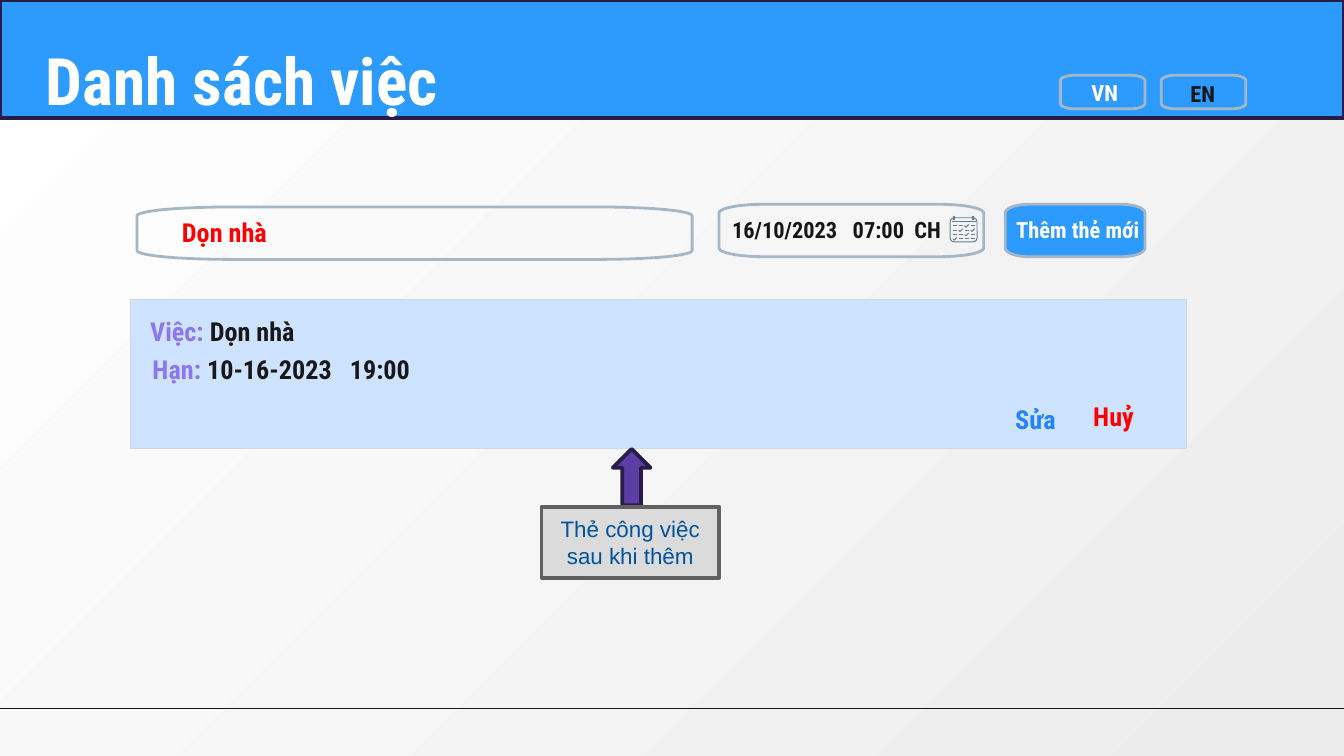
import math

import pptx
import pptx.dml.color
import pptx.enum.shapes
import pptx.enum.text
import pptx.util
from lxml import etree

Inches, Pt = pptx.util.Inches, pptx.util.Pt
SHAPE = pptx.enum.shapes.MSO_SHAPE
ANCHOR = pptx.enum.text.MSO_ANCHOR

THEME = {
    "font": "Roboto Condensed", "note_font": "Arial",
    "title": 35, "body": 14, "small": 12,
    "blue": "2D9BFE", "navy": "281B48", "purple": "5C3DA4", "white": "FFFFFF",
    "shade": "ECECEC", "ink": "161616", "value": "181818", "red": "FF0000",
    "edit": "2382FF", "label": "8C77EF", "outline": "A5B7C6", "icon": "657E93",
    "card": "CEE3FF", "card_edge": "CFD9E0",
    "note": "DBDBDB", "note_edge": "606060", "note_text": "01539D",
}

# Boxes are left, top, width, height in inches.
TITLE = ("Danh sách việc", (0.2, 0.2, 3.2, 0.61))
HEADER = (0, 0, 10, 0.88)
FOOTER_Y = 5.27
PILLS = [  # box, fill
    ((7.89, 0.56, 0.63, 0.25), None),
    ((8.64, 0.56, 0.63, 0.25), None),
    ((1.02, 1.54, 4.13, 0.39), None),
    ((5.35, 1.52, 1.97, 0.39), None),
    ((7.48, 1.52, 1.04, 0.39), "blue"),
]
CARD = (0.97, 2.23, 7.86, 1.11)
LABELS = [  # box, size, (text, colour) pieces
    ((7.89, 0.49, 0.66, 0.4), "small", [("VN", "white")]),
    ((8.62, 0.5, 0.66, 0.4), "small", [("EN", "ink")]),
    ((-0.32, 1.51, 3.98, 0.39), "body", [("Dọn nhà", "red")]),
    ((5.25, 1.51, 1.95, 0.4), "small", [("16/10/2023   07:00  CH", "ink")]),
    ((7.42, 1.51, 1.2, 0.4), "small", [("Thêm thẻ mới", "white")]),
    ((0.86, 2.25, 1.59, 0.39), "body", [("Việc: ", "label"), ("Dọn nhà", "value")]),
    ((0.83, 2.53, 2.53, 0.39), "body", [("Hạn: ", "label"), ("10-16-2023   19:00", "value")]),
    ((6.91, 2.9, 1.59, 0.39), "body", [("Sửa", "edit")]),
    ((7.49, 2.88, 1.59, 0.39), "body", [("Huỷ", "red")]),
]
ARROW = (4.56, 3.34, 0.28, 0.42)
NOTE = ("Thẻ công việc sau khi thêm", (4.03, 3.77, 1.32, 0.53))
CALENDAR = (7.07, 1.62, 0.2, 0.18)
CALENDAR_DAYS = ["--v-", "-v-v", "--v-", "v---"]  # v is a ticked day


def rgb(name):
    return pptx.dml.color.RGBColor.from_string(THEME[name])


def inches(box):
    return [Inches(value) for value in box]


def paint(shape, fill=None, line=None, width=1.5):
    shape.shadow.inherit = False
    if fill:
        shape.fill.solid()
        shape.fill.fore_color.rgb = rgb(fill)
    else:
        shape.fill.background()
    if line:
        shape.line.color.rgb = rgb(line)
        shape.line.width = Pt(width)
    else:
        shape.line.fill.background()
    return shape


def write(shape, pieces, size="body", font="font", bold=True, anchor=ANCHOR.TOP):
    frame = shape.text_frame
    frame.word_wrap = True
    frame.auto_size = pptx.enum.text.MSO_AUTO_SIZE.NONE
    frame.vertical_anchor = anchor
    frame.margin_left = frame.margin_right = Inches(0.1)
    frame.margin_top = frame.margin_bottom = Inches(0.1 if anchor == ANCHOR.TOP else 0.05)
    paragraph = frame.paragraphs[0]
    paragraph.alignment = pptx.enum.text.PP_ALIGN.CENTER
    for text, color in pieces:
        run = paragraph.add_run()
        run.text = text
        run.font.name = THEME[font]
        run.font.size = Pt(THEME[size])
        run.font.bold = bold
        run.font.color.rgb = rgb(color)


def add_block(slide, kind, box, **look):
    return paint(slide.shapes.add_shape(kind, *inches(box)), **look)


def add_outline(slide, points, close=True, **look):
    """Freeform through points in inches; the builder takes whole EMU."""
    points = [inches(point) for point in points]
    builder = slide.shapes.build_freeform(*points[0])
    builder.add_line_segments(points[1:], close=close)
    return paint(builder.convert_to_shape(), **look)


def add_pill(slide, box, fill):
    """Rounded box whose corners stretch with its width and height."""
    left, top, width, height = box
    rx, ry = width / 6, height / 6
    corners = [(left + width - rx, top + ry), (left + width - rx, top + height - ry),
               (left + rx, top + height - ry), (left + rx, top + ry)]
    points = []
    for corner, (x, y) in enumerate(corners):
        for step in range(11):
            angle = math.radians(90 * (corner - 1) + 9 * step)
            points.append((x + rx * math.cos(angle), y + ry * math.sin(angle)))
    add_outline(slide, points, fill=fill, line="outline")


def add_line(slide, start, end, color, width):
    line = slide.shapes.add_connector(
        pptx.enum.shapes.MSO_CONNECTOR.STRAIGHT, *inches(start + end))
    line.line.color.rgb = rgb(color)
    line.line.width = Pt(width)
    etree.SubElement(line.element.spPr, pptx.oxml.ns.qn("a:effectLst"))


def add_calendar(slide):
    left, top, width, height = CALENDAR
    add_block(slide, SHAPE.ROUNDED_RECTANGLE, CALENDAR, line="icon", width=0.5)
    add_line(slide, (left + 0.01, top + 0.03), (left + width - 0.01, top + 0.03), "icon", 0.5)
    for x in (left + 0.03, left + width - 0.03):
        add_line(slide, (x, top - 0.01), (x, top + 0.02), "icon", 1)
    column_step, row_step = width * 0.22, height * 0.18
    for row, days in enumerate(CALENDAR_DAYS):
        y = top + 0.06 + row * row_step
        for column, day in enumerate(days):
            x = left + 0.02 + column * column_step
            if day == "v":
                tick = [(x, y), (x + 0.01, y + 0.01), (x + 0.03, y - 0.01)]
                add_outline(slide, tick, close=False, line="icon", width=0.5)
            else:
                add_line(slide, (x, y), (x + 0.03, y), "icon", 0.5)


def main():
    deck = pptx.Presentation()
    deck.slide_width = Inches(10)
    deck.slide_height = deck.slide_width * 9 // 16
    slide = deck.slides.add_slide(deck.slide_layouts[5])

    backdrop = slide.background.fill
    backdrop.gradient()
    backdrop.gradient_angle = 315
    for stop, color in zip(backdrop.gradient_stops, ("white", "shade")):
        stop.color.rgb = rgb(color)

    add_line(slide, (0, FOOTER_Y), (10, FOOTER_Y), "ink", 0.75)
    header = add_block(slide, SHAPE.RECTANGLE, HEADER, fill="blue", line="navy", width=2)

    title_text, title_box = TITLE
    title = slide.shapes.title
    title.left, title.top, title.width, title.height = inches(title_box)
    write(title, [(title_text, "white")], size="title")
    header.element.addnext(title.element)

    for box, fill in PILLS:
        add_pill(slide, box, fill)
    add_calendar(slide)
    add_block(slide, SHAPE.RECTANGLE, CARD, fill="card", line="card_edge", width=0.75)
    for box, size, pieces in LABELS:
        write(slide.shapes.add_textbox(*inches(box)), pieces, size=size)

    add_block(slide, SHAPE.UP_ARROW, ARROW, fill="purple", line="navy", width=2)
    note_text, note_box = NOTE
    note = add_block(slide, SHAPE.RECTANGLE, note_box, fill="note", line="note_edge", width=2)
    write(note, [(note_text, "note_text")], size="small", font="note_font",
          bold=False, anchor=ANCHOR.MIDDLE)

    deck.save("out.pptx")


if __name__ == "__main__":
    main()
